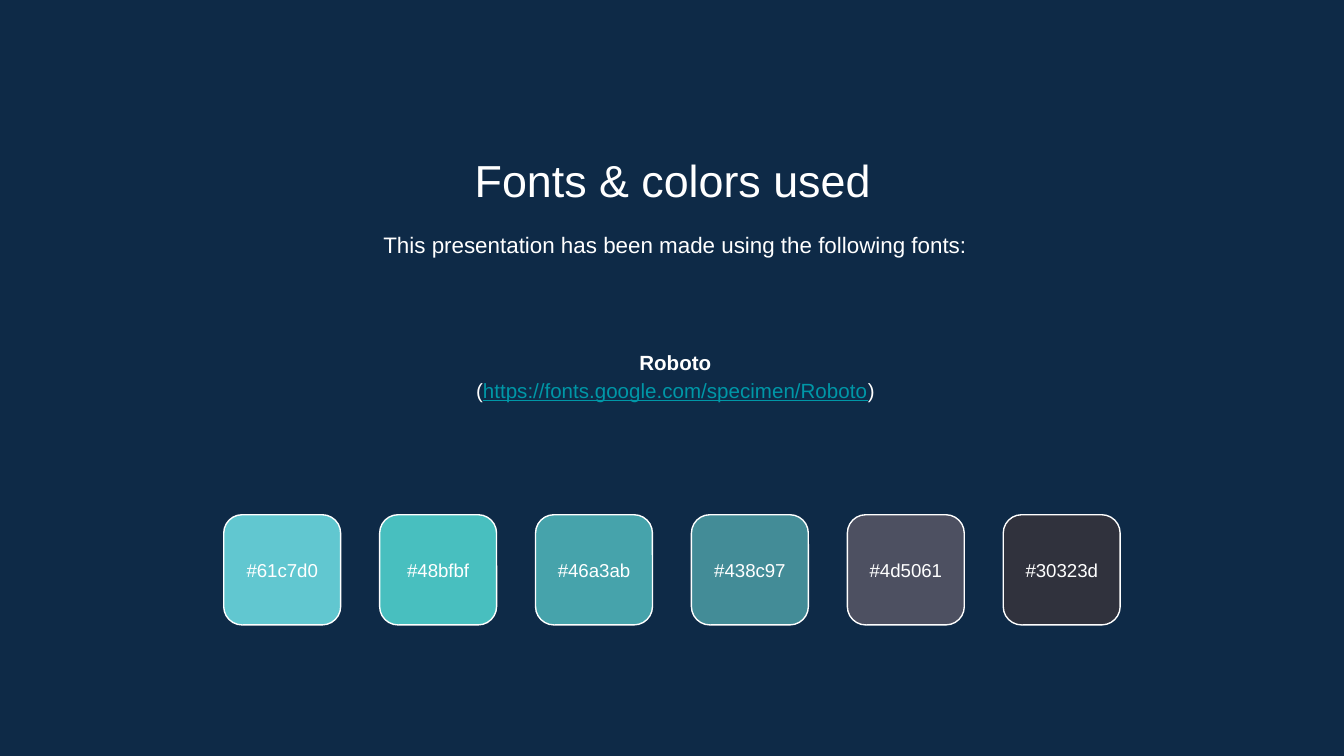
from dataclasses import dataclass

from pptx import Presentation
from pptx.dml.color import RGBColor
from pptx.enum.shapes import MSO_SHAPE as Shape
from pptx.enum.text import MSO_ANCHOR as Anchor, PP_ALIGN as Align
from pptx.util import Inches, Pt

FONT = "Arial"
NAVY, WHITE, LINK = "0E2A47", "FFFFFF", "0097A7"
CODES = ["#61c7d0", "#48bfbf", "#46a3ab", "#438c97", "#4d5061", "#30323d"]
WIDTH = 10
HEIGHT = WIDTH * 9 / 16
SIDE, STEP = 0.87, 1.16
LEFT = (WIDTH - SIDE - STEP * (len(CODES) - 1)) / 2


@dataclass
class Box:
    x: float
    y: float
    w: float
    h: float

    def emu(self) -> list[int]:
        return [Inches(v) for v in (self.x, self.y, self.w, self.h)]


@dataclass
class Run:
    text: str
    color: str = WHITE
    bold: bool = False
    line: bool = False


def rgb(code: str) -> RGBColor:
    return RGBColor.from_string(code.lstrip("#").upper())


def add_text(slide, box: Box, *paras: list[Run], size: float,
             anchor=Anchor.TOP, space: float = 1.0) -> None:
    """Add a centred text box; each paragraph is a list of runs."""
    frame = slide.shapes.add_textbox(*box.emu()).text_frame
    frame.word_wrap = True
    frame.vertical_anchor = anchor
    frame.margin_left = frame.margin_right = Inches(0.1)
    frame.margin_top = frame.margin_bottom = Inches(0.1)
    for i, runs in enumerate(paras):
        para = frame.add_paragraph() if i else frame.paragraphs[0]
        para.alignment = Align.CENTER
        para.line_spacing = space
        for item in runs:
            run = para.add_run()
            run.text = item.text
            font = run.font
            font.name, font.size = FONT, Pt(size)
            font.bold, font.underline = item.bold, item.line
            font.color.rgb = rgb(item.color)


def add_swatch(slide, x: float, code: str) -> None:
    tile = slide.shapes.add_shape(Shape.ROUNDED_RECTANGLE,
                                  *Box(x, 3.83, SIDE, 0.82).emu())
    tile.adjustments[0] = 1 / 6
    tile.shadow.inherit = False
    tile.fill.solid()
    tile.fill.fore_color.rgb = rgb(code)
    tile.line.color.rgb = rgb(WHITE)
    tile.line.width = Pt(0.75)
    add_text(slide, Box(x, 4, SIDE, 0.48), [Run(code)], size=10,
             anchor=Anchor.MIDDLE)


def main() -> None:
    deck = Presentation()
    deck.slide_width, deck.slide_height = Inches(WIDTH), Inches(HEIGHT)
    slide = deck.slides.add_slide(deck.slide_layouts[6])
    slide.background.fill.solid()
    slide.background.fill.fore_color.rgb = rgb(NAVY)

    add_text(slide, Box(1.15, 1.04, 7.71, 0.53),
             [Run("Fonts & colors used")], size=24)
    add_text(slide, Box(1.17, 1.59, 7.71, 0.48),
             [Run("This presentation has been made using the following fonts:")],
             size=12, space=1.15)
    add_text(slide, Box(1.17, 2.1, 7.71, 1.37),
             [Run("Roboto", bold=True)],
             [Run("("),
              Run("https://fonts.google.com/specimen/Roboto", LINK, line=True),
              Run(")")],
             size=11, anchor=Anchor.MIDDLE, space=1.15)
    for i, code in enumerate(CODES):
        add_swatch(slide, LEFT + i * STEP, code)
    deck.save("out.pptx")


if __name__ == "__main__":
    main()
